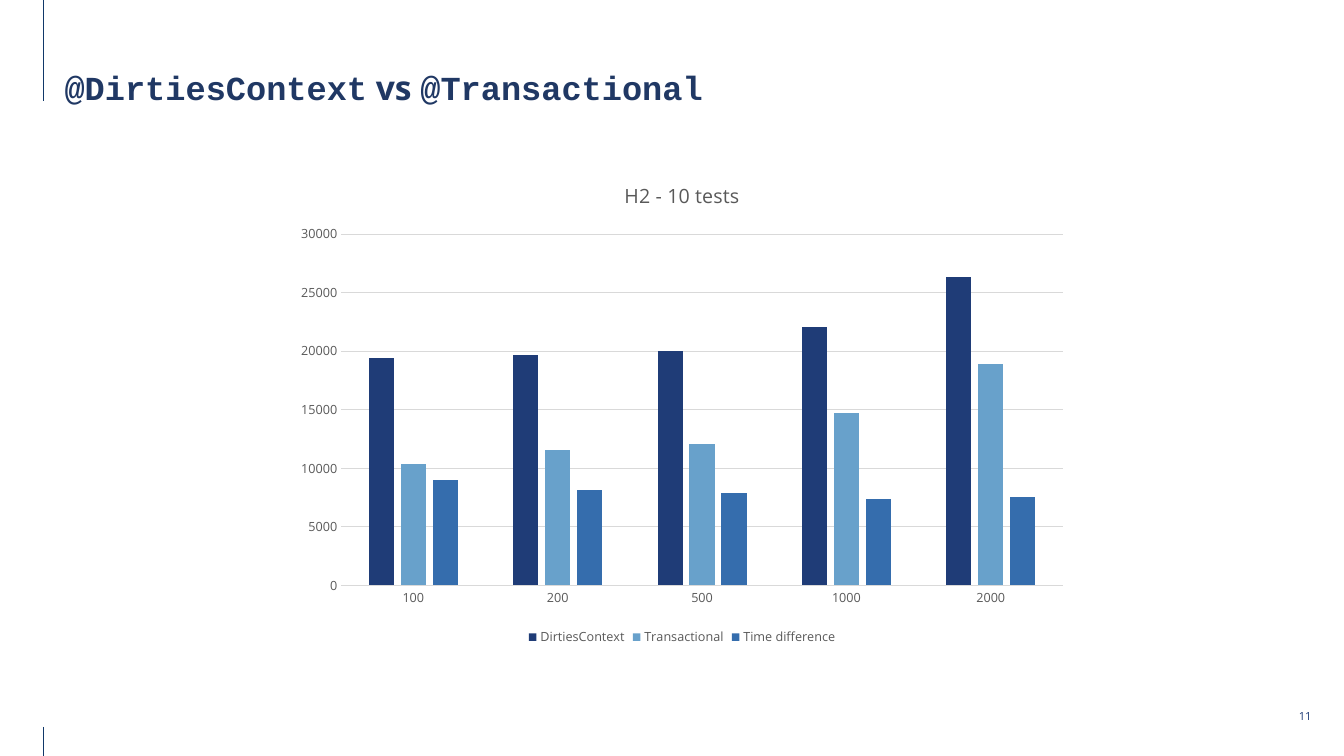
from lxml import etree
from pptx import Presentation
from pptx.chart.data import CategoryChartData
from pptx.dml.color import RGBColor
from pptx.enum.chart import XL_CHART_TYPE, XL_LEGEND_POSITION, XL_TICK_MARK
from pptx.enum.shapes import MSO_CONNECTOR
from pptx.enum.text import MSO_ANCHOR, PP_ALIGN
from pptx.oxml.ns import qn
from pptx.util import Inches, Pt

SANS, MONO = "Open Sans", "Courier New"
NAVY, RULE, TITLE, GREY, GRID = "1F3C77", "113869", "203864", "595959", "D9D9D9"
CATEGORIES = ["100", "200", "500", "1000", "2000"]
SERIES = [
    ("DirtiesContext", NAVY, [19400, 19700, 20000, 22100, 26300]),
    ("Transactional", "68A1CB", [10400, 11600, 12100, 14700, 18900]),
    ("Time difference", "356DAD", [9000, 8100, 7900, 7400, 7500]),
]


def rgb(value):
    """Turn a hex string into a colour."""
    return RGBColor.from_string(value)


def set_font(font, size, color, name=SANS, bold=False):
    """Set the face, size, weight and colour of a font."""
    font.name, font.size, font.bold = name, Pt(size), bold
    font.color.rgb = rgb(color)


def set_line(line, color, width):
    """Set the colour and width of a line."""
    line.color.rgb = rgb(color)
    line.width = Pt(width)


def add_margin_rule(s, x, top, bottom):
    """Draw a thin vertical rule in the left margin."""
    c = s.shapes.add_connector(
        MSO_CONNECTOR.STRAIGHT, Inches(x), Inches(top), Inches(x), Inches(bottom))
    set_line(c.line, RULE, 0.5)
    etree.SubElement(c._element.spPr, qn("a:effectLst"))


def add_title(s, x, y, w, h):
    """Place the title, with annotation names in the code font."""
    sp = s.shapes.title
    sp.left, sp.top, sp.width, sp.height = map(Inches, (x, y, w, h))
    tf = sp.text_frame
    tf.vertical_anchor = MSO_ANCHOR.MIDDLE
    p = tf.paragraphs[0]
    p.alignment, p.line_spacing = PP_ALIGN.LEFT, 0.9
    for text, face in (("@DirtiesContext", MONO), (" vs ", SANS), ("@Transactional", MONO)):
        r = p.add_run()
        r.text = text
        set_font(r.font, 24, TITLE, face, True)


def add_page_number(s, x, y, w, h, number):
    """Place the page number in its box."""
    tf = s.shapes.add_textbox(*map(Inches, (x, y, w, h))).text_frame
    tf.word_wrap = False
    tf.margin_left = tf.margin_right = Inches(0.08)
    tf.margin_top = tf.margin_bottom = Inches(0.04)
    p = tf.paragraphs[0]
    p.text = number
    p.alignment = PP_ALIGN.CENTER
    set_font(p.runs[0].font, 8, NAVY)


def add_timing_chart(s, x, y, w, h):
    """Place the clustered column chart of test times."""
    data = CategoryChartData()
    data.categories = CATEGORIES
    for name, _, values in SERIES:
        data.add_series(name, values)
    chart = s.shapes.add_chart(
        XL_CHART_TYPE.COLUMN_CLUSTERED, *map(Inches, (x, y, w, h)), data).chart
    set_font(chart.font, 10, "000000")

    chart.has_title = True
    tf = chart.chart_title.text_frame
    tf.text = "H2 - 10 tests"
    set_font(tf.paragraphs[0].runs[0].font, 14, GREY)
    chart.chart_title.include_in_layout = False

    chart.has_legend = True
    chart.legend.position = XL_LEGEND_POSITION.BOTTOM
    chart.legend.include_in_layout = False
    set_font(chart.legend.font, 9, GREY)

    for axis in (chart.category_axis, chart.value_axis):
        axis.major_tick_mark = axis.minor_tick_mark = XL_TICK_MARK.NONE
        set_font(axis.tick_labels.font, 9, GREY)
    set_line(chart.category_axis.format.line, GRID, 0.75)
    axis = chart.value_axis
    axis.minimum_scale, axis.maximum_scale, axis.major_unit = 0, 30000, 5000
    axis.format.line.fill.background()
    set_line(axis.major_gridlines.format.line, GRID, 0.75)

    plot = chart.plots[0]
    plot.gap_width, plot.overlap, plot.vary_by_categories = 219, -27, False
    for series, (_, color, _) in zip(plot.series, SERIES):
        series.format.fill.solid()
        series.format.fill.fore_color.rgb = rgb(color)


def main():
    """Build and save the slide."""
    prs = Presentation()
    prs.slide_width, prs.slide_height = Inches(13.33), Inches(7.5)
    s = prs.slides.add_slide(prs.slide_layouts[5])
    add_page_number(s, 12.8, 7, 0.29, 0.21, "11")
    add_margin_rule(s, 0.43, 0, 1)
    add_margin_rule(s, 0.43, 7.21, 7.5)
    add_title(s, 0.54, 0.67, 12.15, 0.44)
    add_timing_chart(s, 2.83, 1.6, 7.87, 4.85)
    prs.save("out.pptx")


if __name__ == "__main__":
    main()
